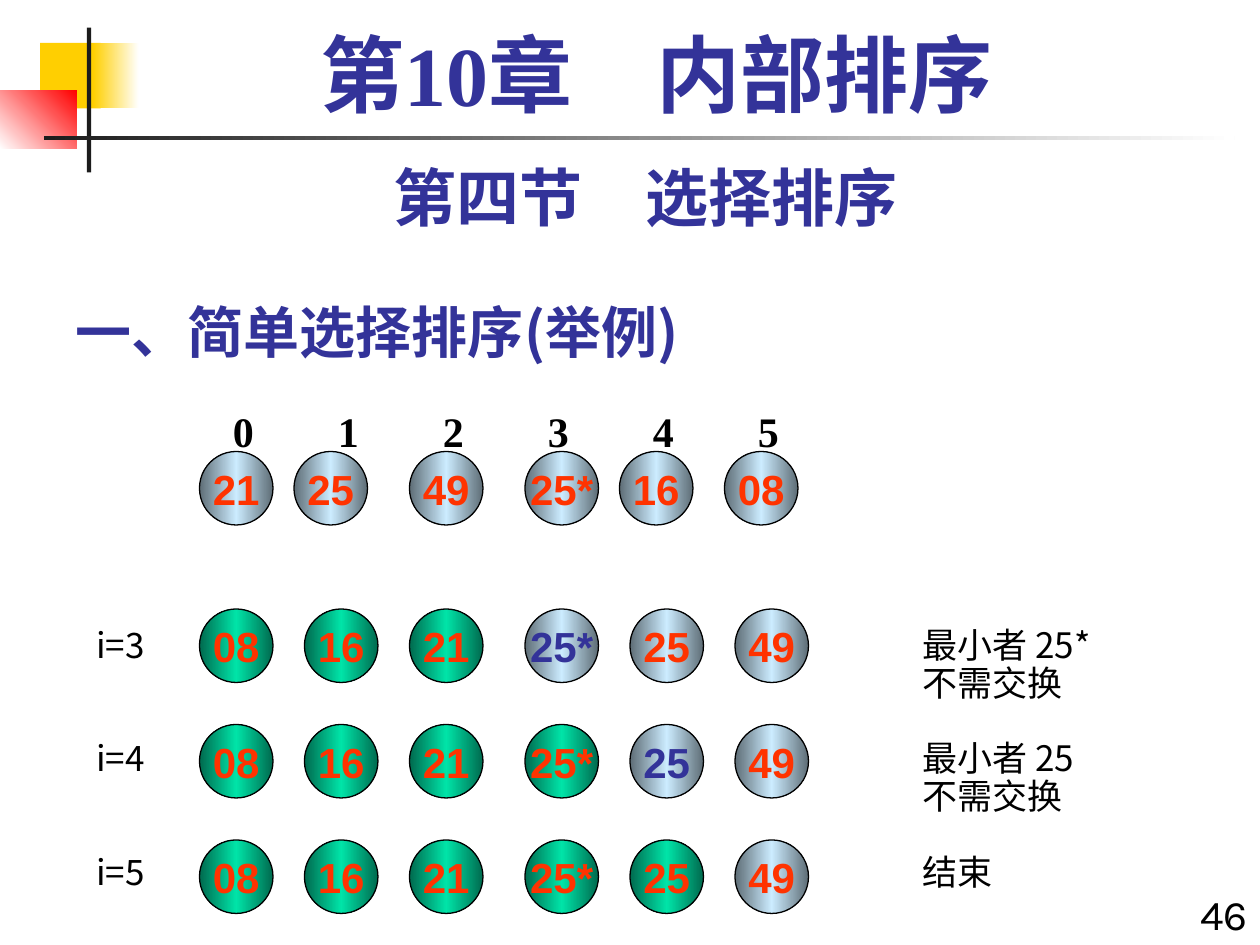
from dataclasses import dataclass
from typing import Any, NamedTuple, Optional

import lxml.etree
import pptx
import pptx.dml.color
import pptx.enum.shapes
import pptx.enum.text
import pptx.oxml.ns
import pptx.util

Pt = pptx.util.Pt
Align = pptx.enum.text.PP_ALIGN
Anchor = pptx.enum.text.MSO_ANCHOR
Kind = pptx.enum.shapes.MSO_SHAPE
qn = pptx.oxml.ns.qn


@dataclass(frozen=True)
class Theme:
    blue: str = "333399"
    red: str = "FF3300"
    ink: str = "000000"
    bar: str = "1C1C1C"
    gold: str = "FFCF01"
    white: str = "FFFFFF"
    rose: str = "FF0000"
    steel: tuple = ("5E6D76", "CCECFF", "5E6D76")
    green: tuple = ("006A4E", "00E4A8", "006A4E")
    han: str = "Noto Sans CJK SC"
    serif: str = "Times New Roman"
    sans: str = "Arial"
    plain: str = "Karla"
    chapter: int = 48
    section: int = 36
    head: int = 32
    label: int = 24
    note: int = 20


THEME = Theme()


class Box(NamedTuple):
    left: float
    top: float
    width: float
    height: float

    def points(self) -> list:
        return [Pt(v) for v in self]


class Style(NamedTuple):
    size: int
    face: str
    color: str
    bold: bool = True
    align: Any = Align.LEFT
    pitch: Optional[float] = None


class Line(NamedTuple):
    text: str
    before: float = 0


class Block(NamedTuple):
    box: Box
    style: Style
    lines: list
    wrap: bool = True


class Panel(NamedTuple):
    box: Box
    colors: tuple
    angle: int = 0


class Row(NamedTuple):
    top: float
    lefts: list
    values: list
    done: int = 0
    pick: Optional[int] = None


SIZE = 42
STEP = 66
LEFTS = [114, 174, 234, 300, 360, 420]
START = Row(258, [114, 168, 234, 300, 354, 414],
            ["21", "25", "49", "25*", "16", "08"])
SORTED = ["08", "16", "21", "25*", "25", "49"]
PASSES = [Row(348 + STEP * i, LEFTS, SORTED, 3 + i, pick)
          for i, pick in enumerate([3, 4, None])]

PANELS = [
    Panel(Box(23, 24.5, 34.5, 37.5), (THEME.gold,)),
    Panel(Box(53.3, 24.5, 26, 37.5), (THEME.gold, THEME.white)),
    Panel(Box(0, 51.8, 44, 33.2), (THEME.white, THEME.rose), 45),
    Panel(Box(49.7, 15.8, 2.5, 82.8), (THEME.bar,)),
    Panel(Box(25.2, 77.8, 680.4, 2.5), (THEME.bar, THEME.white)),
]

PITCH = 21.6
NOTE = Style(THEME.note, THEME.han, THEME.ink, False, pitch=PITCH)
HEAD = Style(THEME.head, THEME.han, THEME.blue)
INDEX = Style(THEME.label, THEME.serif, THEME.ink)
BLOCKS = [
    Block(Box(672, 504, 48, 36),
          Style(THEME.label, THEME.plain, THEME.ink, False, Align.RIGHT),
          [Line("46")]),
    Block(Box(36, 84, 666, 50),
          Style(THEME.section, THEME.plain, THEME.blue, True, Align.CENTER, 46),
          [Line("第四节\u3000选择排序")]),
    Block(Box(48, 12, 654, 60),
          Style(THEME.chapter, THEME.serif, THEME.blue, True, Align.CENTER, 55),
          [Line("第10章\u3000内部排序")]),
    Block(Box(520, 355, 120, 158), NOTE,
          [Line("最小者 25*"), Line("不需交换"), Line("最小者 25", PITCH),
           Line("不需交换"), Line("结束", PITCH)], False),
    Block(Box(48, 355, 45, 158), NOTE,
          [Line("i=3"), Line("i=4", 2 * PITCH), Line("i=5", 2 * PITCH)]),
]


def apply(target: Any, values: dict) -> None:
    for name, value in values.items():
        setattr(target, name, value)


def rgb(code: str) -> pptx.dml.color.RGBColor:
    return pptx.dml.color.RGBColor.from_string(code)


def write(frame: Any, lines: list, style: Style) -> None:
    """Fill a text frame with one paragraph per line."""
    for i, line in enumerate(lines):
        para = frame.add_paragraph() if i else frame.paragraphs[0]
        apply(para, {"alignment": style.align, "space_before": Pt(line.before)})
        if style.pitch:
            para.line_spacing = Pt(style.pitch)
        run = para.add_run()
        run.text = line.text
        apply(run.font, {"size": Pt(style.size), "name": style.face,
                         "bold": style.bold})
        run.font.color.rgb = rgb(style.color)
        asian = lxml.etree.SubElement(run.font._element, qn("a:ea"))
        asian.set("typeface", THEME.han)


def paint(shape: Any, colors: tuple, angle: int = 0) -> None:
    """Fill with one colour, or with evenly spaced gradient stops."""
    shape.shadow.inherit = False
    if len(colors) == 1:
        shape.fill.solid()
        shape.fill.fore_color.rgb = rgb(colors[0])
        return
    shape.fill.gradient()
    shape.fill.gradient_angle = angle
    stops = next(shape._element.spPr.iter(qn("a:gsLst")))
    for stop in list(stops):
        stops.remove(stop)
    for i, code in enumerate(colors):
        stop = lxml.etree.SubElement(stops, qn("a:gs"))
        stop.set("pos", str(100000 * i // (len(colors) - 1)))
        lxml.etree.SubElement(stop, qn("a:srgbClr")).set("val", code)


def draw_panel(shapes: Any, panel: Panel) -> None:
    shape = shapes.add_shape(Kind.RECTANGLE, *panel.box.points())
    paint(shape, panel.colors, panel.angle)
    shape.line.fill.background()


def draw_block(shapes: Any, block: Block) -> Any:
    frame = shapes.add_textbox(*block.box.points()).text_frame
    frame.word_wrap = block.wrap
    write(frame, block.lines, block.style)
    return frame


def draw_index(shapes: Any) -> None:
    """Number the places above the first row, one tab stop each."""
    text = "\t".join(str(i) for i in range(len(LEFTS)))
    block = Block(Box(126, 228, 350, 36), INDEX, [Line(text)])
    para = draw_block(shapes, block).paragraphs[0]
    tabs = lxml.etree.SubElement(para._p.get_or_add_pPr(), qn("a:tabLst"))
    for i in range(1, len(LEFTS)):
        tab = lxml.etree.SubElement(tabs, qn("a:tab"))
        tab.set("pos", str(Pt(60 * i)))
        tab.set("algn", "l")


def draw_row(shapes: Any, row: Row) -> None:
    for i, (left, value) in enumerate(zip(row.lefts, row.values)):
        ball = shapes.add_shape(Kind.OVAL, *Box(left, row.top, SIZE, SIZE).points())
        paint(ball, THEME.green if i < row.done else THEME.steel)
        ball.line.color.rgb = rgb(THEME.ink)
        ball.line.width = Pt(0.75)
        apply(ball.text_frame, {"word_wrap": False,
                                "vertical_anchor": Anchor.MIDDLE})
        color = THEME.blue if i == row.pick else THEME.red
        write(ball.text_frame, [Line(value)],
              Style(THEME.label, THEME.sans, color, True, Align.CENTER))


def main() -> None:
    deck = pptx.Presentation()
    apply(deck, {"slide_width": Pt(720), "slide_height": Pt(540)})
    slide = deck.slides.add_slide(deck.slide_layouts[5])
    title = slide.shapes.title
    apply(title, dict(zip(Box._fields, Box(36, 158, 450, 54).points())))
    title.text_frame.vertical_anchor = Anchor.BOTTOM
    write(title.text_frame, [Line("一、简单选择排序(举例)")], HEAD)
    for panel in PANELS:
        draw_panel(slide.shapes, panel)
    for block in BLOCKS:
        draw_block(slide.shapes, block)
    first = slide.shapes.add_group_shape().shapes
    draw_index(first)
    draw_row(first, START)
    for row in PASSES:
        draw_row(slide.shapes.add_group_shape().shapes, row)
    deck.save("out.pptx")


if __name__ == "__main__":
    main()
